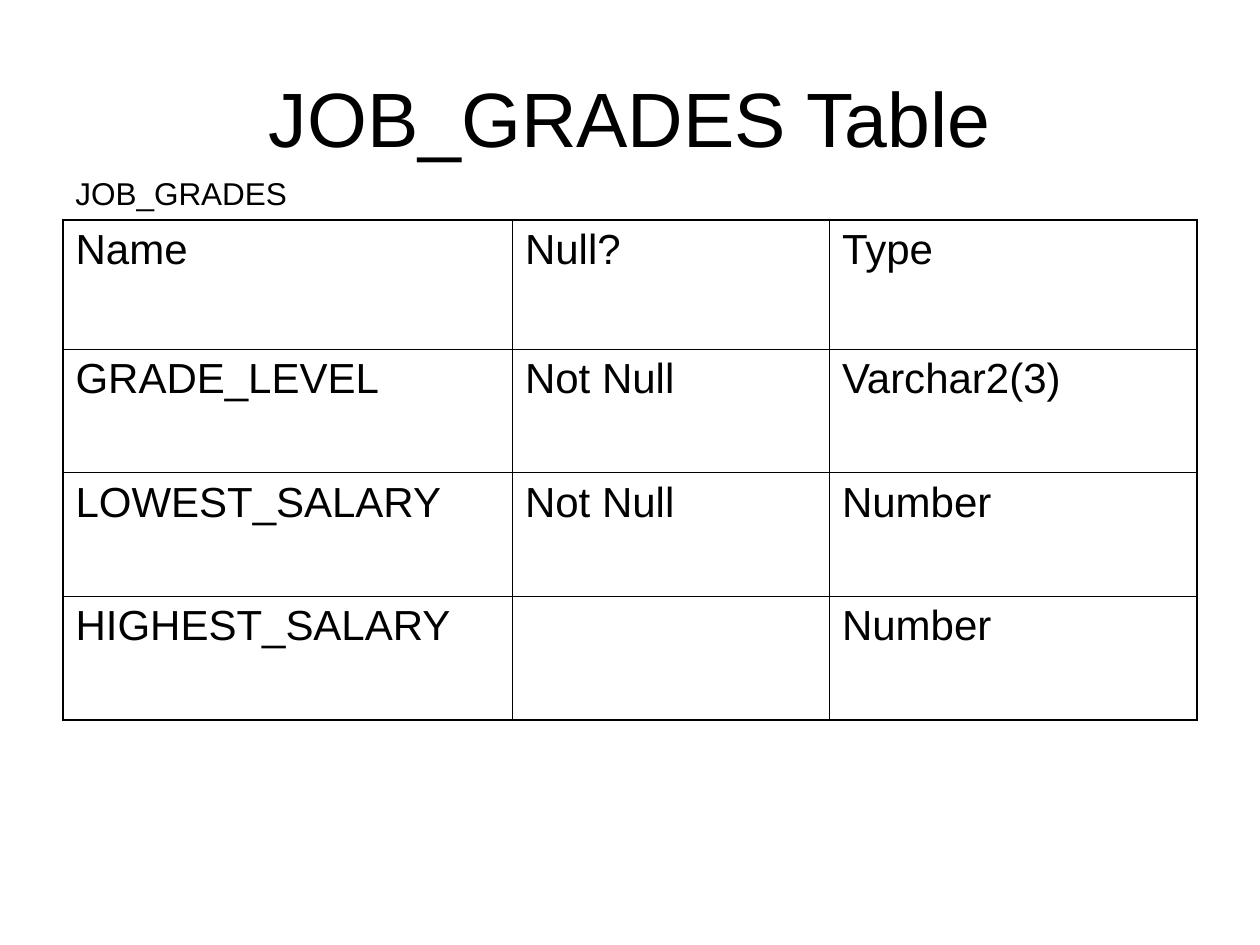
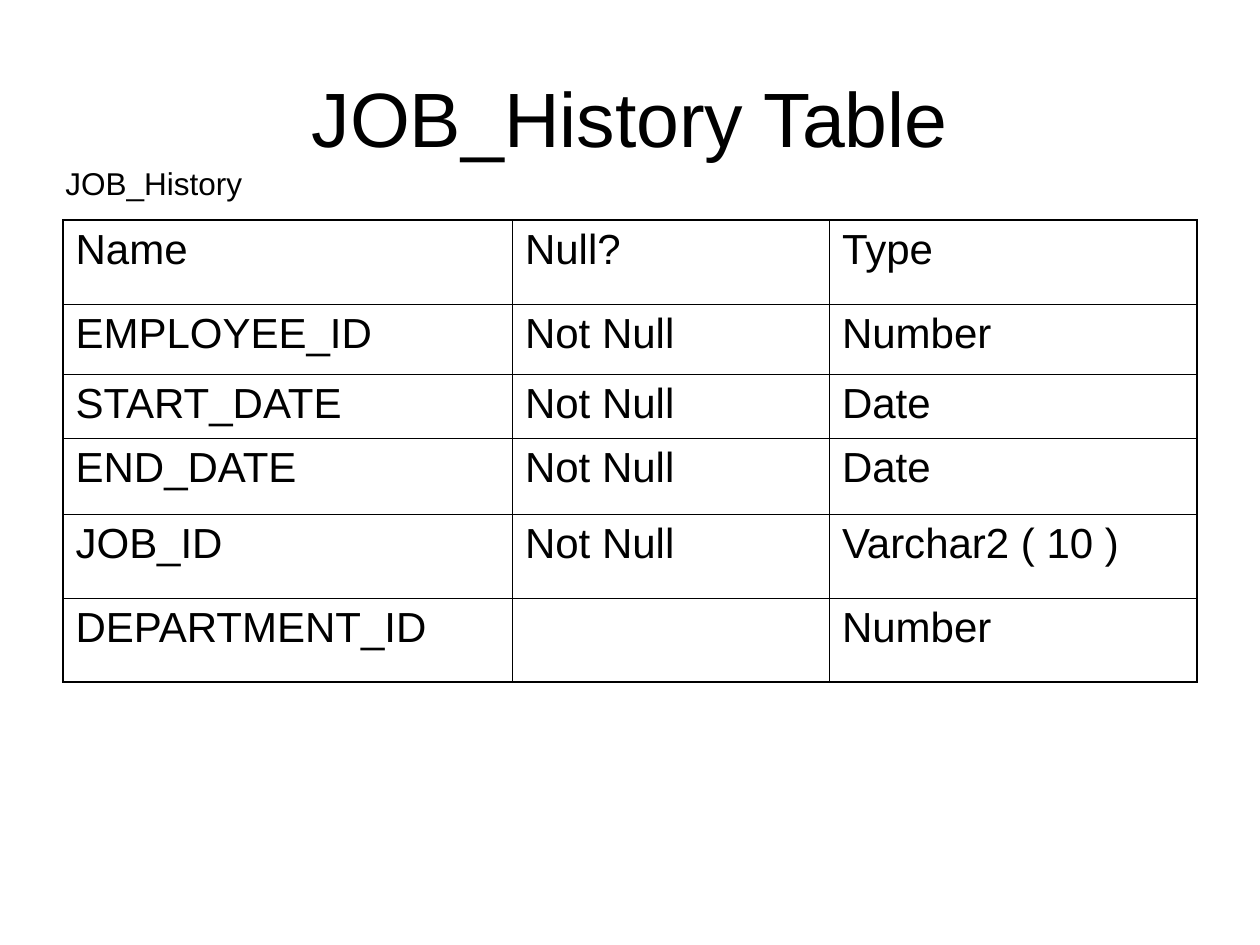
from dataclasses import dataclass

import pptx
import pptx.dml.color
import pptx.enum.text
import pptx.oxml
import pptx.oxml.ns
import pptx.util

Cm, Pt = pptx.util.Cm, pptx.util.Pt
ALIGN, ANCHOR = pptx.enum.text.PP_ALIGN, pptx.enum.text.MSO_ANCHOR


@dataclass(frozen=True)
class Theme:
    ink: str = "000000"
    paper: str = "FFFFFF"
    face: str = "Arial"
    title: float = 44
    body: float = 24
    label: float = 18
    edge: float = 1.08
    rule: float = 0.45


THEME = Theme()
TITLE_BOX = (1.27, 0.76, 22.86, 3.18)
GRID_BOX = (1.27, 4.44, 22.86)
LABEL_SIZE = (5, 1.02)
COLS = (9.06, 6.39, 7.41)
HEAD = ("Name", "Null?", "Type")

TABLES = (
    {
        "title": "JOB_GRADES Table",
        "label": "JOB_GRADES",
        "shift": (0, -1.06),
        "heights": (2.6, 2.49, 2.49, 2.49),
        "rows": (
            HEAD,
            ("GRADE_LEVEL", "Not Null", "Varchar2(3)"),
            ("LOWEST_SALARY", "Not Null", "Number"),
            ("HIGHEST_SALARY", "", "Number"),
        ),
    },
    {
        "title": "JOB_History Table",
        "label": "JOB_History",
        "shift": (-0.2, -1.26),
        "heights": (1.69, 1.41, 1.29, 1.54, 1.69, 1.69),
        "rows": (
            HEAD,
            ("EMPLOYEE_ID", "Not Null", "Number"),
            ("START_DATE", "Not Null", "Date"),
            ("END_DATE", "Not Null", "Date"),
            ("JOB_ID", "Not Null", "Varchar2 ( 10 )"),
            ("DEPARTMENT_ID", "", "Number"),
        ),
    },
)


def apply(target, values):
    for name, value in values.items():
        setattr(target, name, value)


def write(frame, text, size, align=ALIGN.LEFT):
    line = frame.paragraphs[0]
    line.text = text
    line.alignment = align
    apply(line.font, {"name": THEME.face, "size": Pt(size)})
    line.font.color.rgb = pptx.dml.color.RGBColor.from_string(THEME.ink)


def add_text(slide, box, text, size, align=ALIGN.LEFT, anchor=ANCHOR.TOP):
    frame = slide.shapes.add_textbox(*map(Cm, box)).text_frame
    apply(frame, {"word_wrap": True, "vertical_anchor": anchor})
    write(frame, text, size, align)


def set_edges(cell, outer):
    """Draw all four borders; outer tells which sides lie on the table's rim."""
    props = cell._tc.get_or_add_tcPr()
    for side in "LRTB":
        width = Pt(THEME.edge if outer[side] else THEME.rule)
        props.append(pptx.oxml.parse_xml(
            f'<a:ln{side} {pptx.oxml.ns.nsdecls("a")} w="{width}"><a:solidFill>'
            f'<a:srgbClr val="{THEME.ink}"/></a:solidFill></a:ln{side}>'))


def add_grid(slide, box, rows, heights):
    size = (*box, sum(heights))
    table = slide.shapes.add_table(len(rows), len(COLS), *map(Cm, size)).table
    apply(table, {"first_row": False, "horz_banding": False})
    for col, width in zip(table.columns, COLS):
        col.width = Cm(width)
    for row, height in zip(table.rows, heights):
        row.height = Cm(height)
    for r, texts in enumerate(rows):
        for c, text in enumerate(texts):
            cell = table.cell(r, c)
            set_edges(cell, {"L": c == 0, "R": c == len(COLS) - 1,
                             "T": r == 0, "B": r == len(rows) - 1})
            cell.fill.background()
            write(cell.text_frame, text, THEME.body)


def add_page(deck, data):
    slide = deck.slides.add_slide(deck.slide_layouts[6])
    fill = slide.background.fill
    fill.solid()
    fill.fore_color.rgb = pptx.dml.color.RGBColor.from_string(THEME.paper)
    add_text(slide, TITLE_BOX, data["title"], THEME.title,
             ALIGN.CENTER, ANCHOR.MIDDLE)
    add_grid(slide, GRID_BOX, data["rows"], data["heights"])
    left, top, _ = GRID_BOX
    right, down = data["shift"]
    add_text(slide, (left + right, top + down, *LABEL_SIZE), data["label"],
             THEME.label)


def main():
    deck = pptx.Presentation()
    apply(deck, {"slide_width": Cm(25.4), "slide_height": Cm(19.05)})
    for data in TABLES:
        add_page(deck, data)
    deck.save("out.pptx")


if __name__ == "__main__":
    main()
